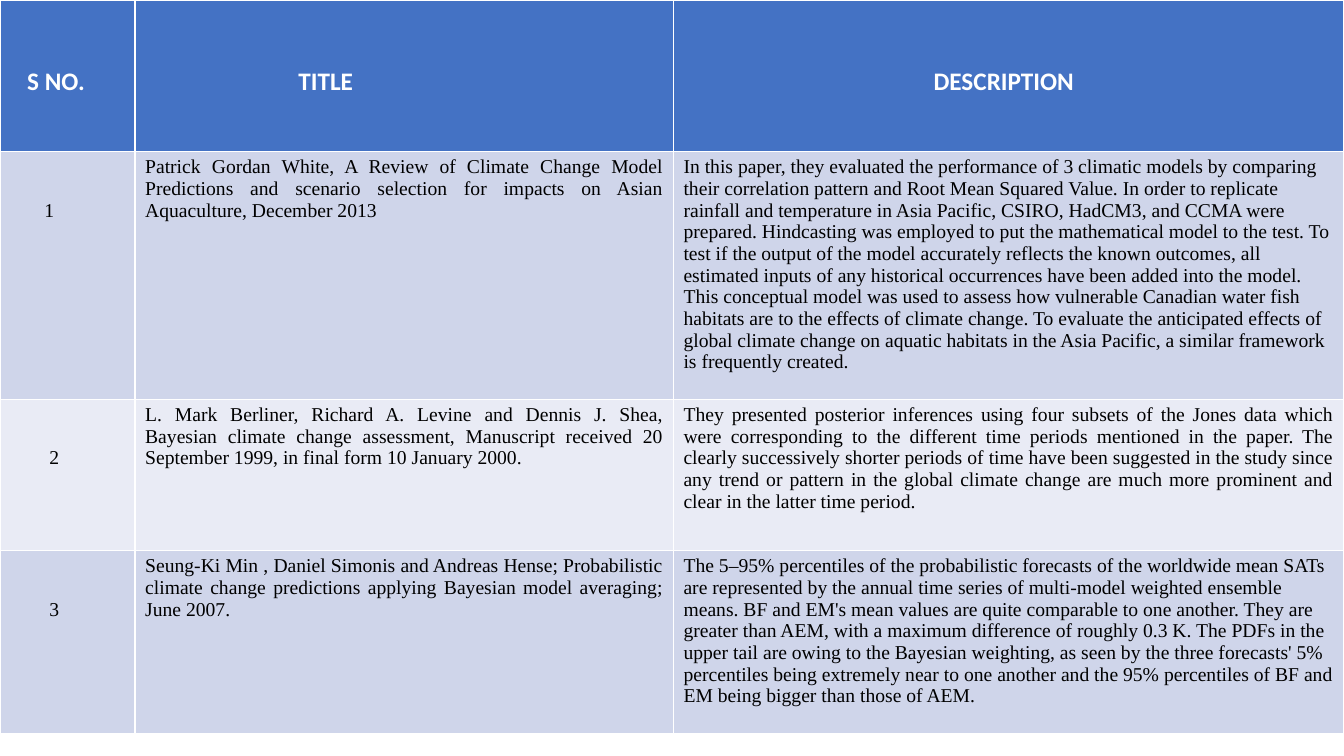
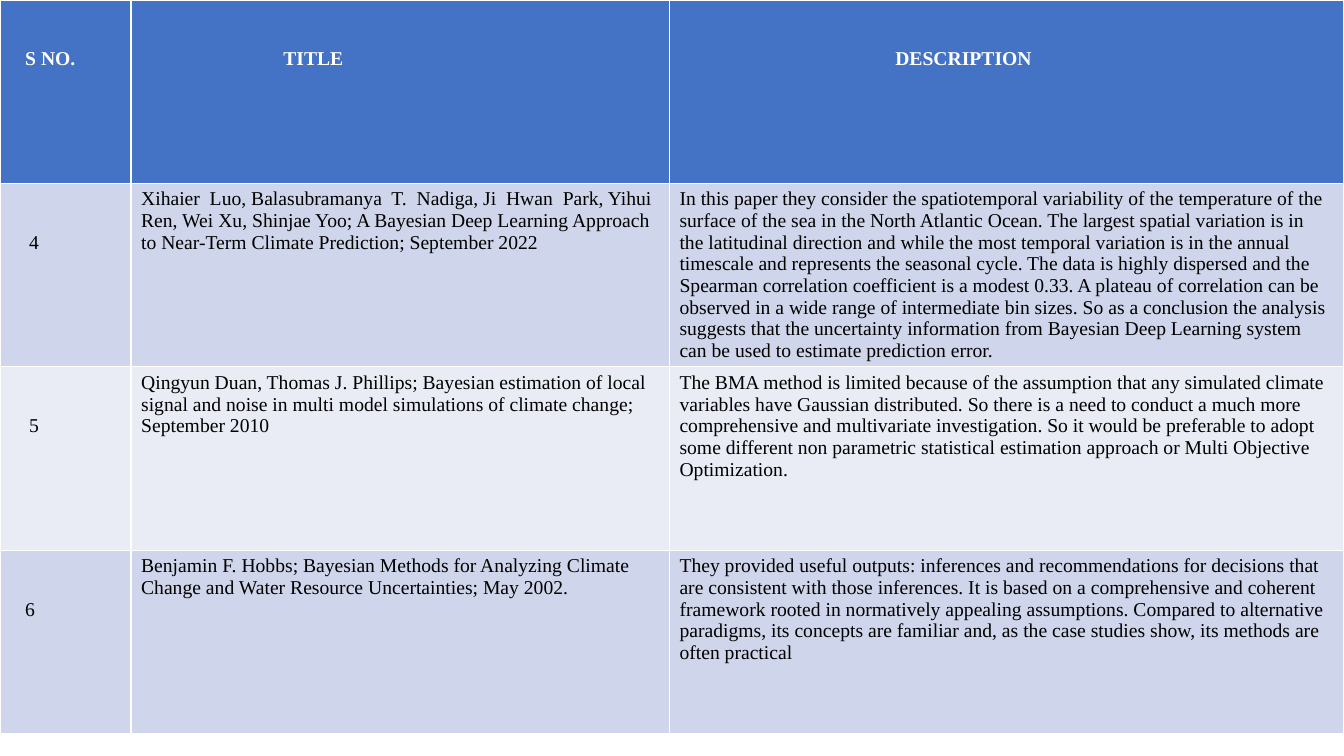
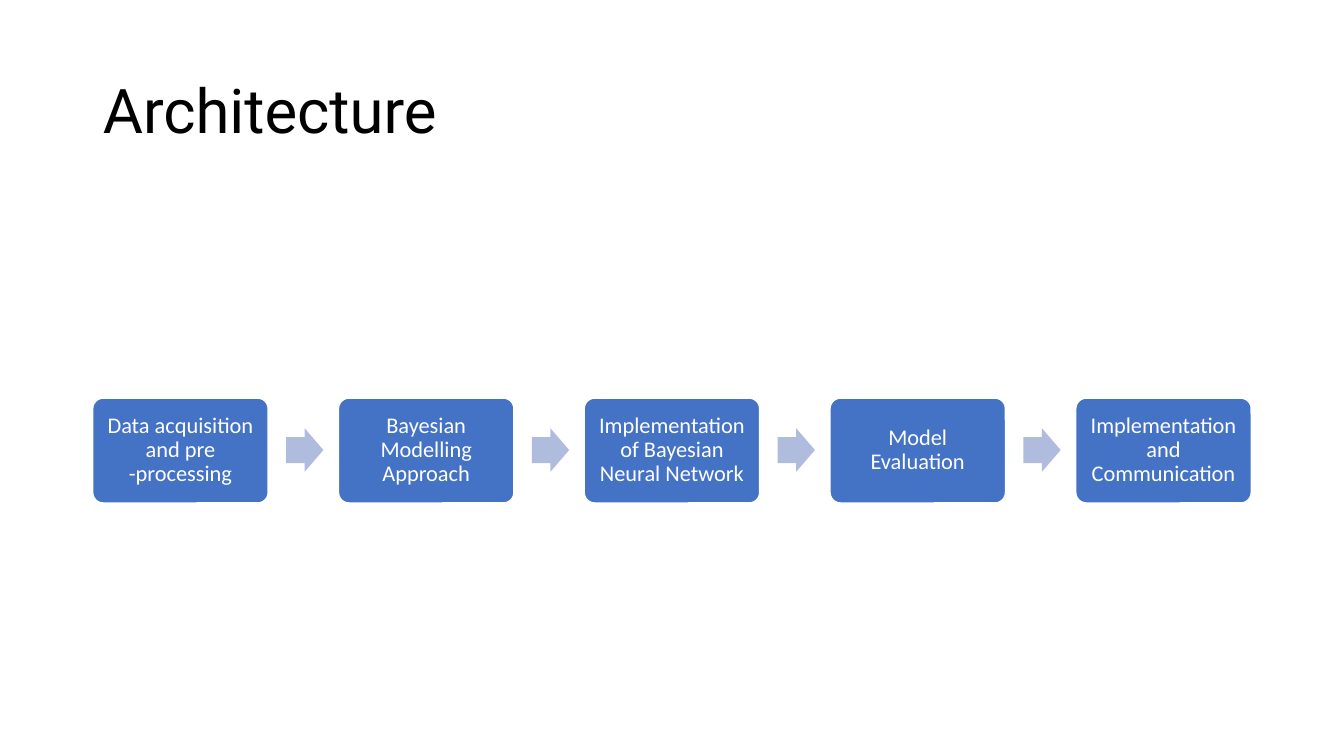
"""Build two literature survey tables and an architecture flow."""
import pptx
import pptx.dml.color
import pptx.enum.shapes
import pptx.enum.text
import pptx.util

Inches = pptx.util.Inches
Align = pptx.enum.text.PP_ALIGN
Preset = pptx.enum.shapes.MSO_SHAPE

BLUE, PALE_BLUE, WHITE, BLACK = "4472C4", "B0BCDE", "FFFFFF", "000000"
BAND_FILLS = ("CFD5EA", "E9EBF5")
HEADINGS = ("S NO.", "TITLE", "DESCRIPTION")
SERIF, SANS, TITLE_FONT = "Times New Roman", "Calibri", "Roboto"
CELL_LEFT, CELL_TOP, THIRD_LINE = 0.1, 0.05, 0.48

FIRST_PAPERS = [
    ("1", 0.44,
     ["Patrick Gordan White, A Review of Climate Change Model Predictions and scenario "
      "selection for impacts on Asian Aquaculture, December 2013"],
     ["In this paper, they evaluated the performance of 3 climatic models by comparing their "
      "correlation pattern and Root Mean Squared Value. In order to replicate rainfall and "
      "temperature in Asia Pacific, CSIRO, HadCM3, and CCMA were prepared. Hindcasting was "
      "employed to put the mathematical model to the test. To test if the output of the model "
      "accurately reflects the known outcomes, all estimated inputs of any historical "
      "occurrences have been added into the model. This conceptual model was used to assess "
      "how vulnerable Canadian water fish habitats are to the effects of climate change. To "
      "evaluate the anticipated effects of global climate change on aquatic habitats in the "
      "Asia Pacific, a similar framework is frequently created."],
     (Align.JUSTIFY, Align.LEFT)),
    ("2", 0.49,
     ["L. Mark Berliner, Richard A. Levine and Dennis J. Shea, Bayesian climate change "
      "assessment, Manuscript received 20 September 1999, in final form 10 January 2000."],
     ["They presented posterior inferences using four subsets of the Jones data which were "
      "corresponding to the different time periods mentioned in the paper. The clearly "
      "successively shorter periods of time have been suggested in the study since any trend "
      "or pattern in the global climate change are much more prominent and clear in the "
      "latter time period."],
     (Align.JUSTIFY, Align.JUSTIFY)),
    ("3", 0.49,
     ["Seung-Ki Min , Daniel Simonis and Andreas Hense; Probabilistic climate change "
      "predictions applying Bayesian model averaging; June 2007."],
     ["The 5–95% percentiles of the probabilistic forecasts of the worldwide mean SATs are "
      "represented by the annual time series of multi-model weighted ensemble means. BF and "
      "EM's mean values are quite comparable to one another. They are greater than AEM, with "
      "a maximum difference of roughly 0.3 K. The PDFs in the upper tail are owing to the "
      "Bayesian weighting, as seen by the three forecasts' 5% percentiles being extremely "
      "near to one another and the 95% percentiles of BF and EM being bigger than those of "
      "AEM."],
     (Align.JUSTIFY, Align.LEFT)),
]
SECOND_PAPERS = [
    ("4", 0.29,
     ["Xihaier  Luo, Balasubramanya  T.  Nadiga, Ji  Hwan  Park, Yihui Ren, Wei Xu, Shinjae "
      "Yoo; A Bayesian Deep Learning Approach to Near-Term Climate Prediction; September 2022"],
     ["In this paper they consider the spatiotemporal variability of the temperature of the "
      "surface of the sea in the North Atlantic Ocean. The largest spatial variation is in "
      "the latitudinal direction and while the most temporal variation is in the annual "
      "timescale and represents the seasonal cycle. The data is highly dispersed and the "
      "Spearman correlation coefficient is a modest 0.33. A plateau of correlation can be "
      "observed in a wide range of intermediate bin sizes. So as a conclusion the analysis "
      "suggests that the uncertainty information from Bayesian Deep Learning system can be "
      "used to estimate prediction error."],
     (Align.LEFT, Align.LEFT)),
    ("5", 0.29,
     ["Qingyun Duan, Thomas J. Phillips; Bayesian estimation of local signal and noise in "
      "multi model simulations of climate change;",
      "September 2010"],
     ["The BMA method is limited because of the assumption that any simulated climate "
      "variables have Gaussian distributed. So there is a need to conduct a much more "
      "comprehensive and multivariate investigation. So it would be preferable to adopt some "
      "different non parametric statistical estimation approach or Multi Objective "
      "Optimization."],
     (Align.LEFT, Align.LEFT)),
    ("6", 0.25,
     ["Benjamin F. Hobbs; Bayesian Methods for Analyzing Climate Change and Water Resource "
      "Uncertainties; May 2002."],
     ["They provided useful outputs: inferences and recommendations for decisions that are "
      "consistent with those inferences. It is based on a comprehensive and coherent "
      "framework rooted in normatively appealing assumptions. Compared to alternative "
      "paradigms, its concepts are familiar and, as the case studies show, its methods are "
      "often practical"],
     (Align.LEFT, Align.LEFT)),
]
STEPS = (
    "Data acquisition and pre -processing",
    "Bayesian Modelling Approach",
    "Implementation of Bayesian Neural Network",
    "Model Evaluation",
    "Implementation and Communication",
)


def color(hex_text):
    """Turn a hex string into a colour."""
    return pptx.dml.color.RGBColor.from_string(hex_text)


def paint(target, hex_text):
    """Give a shape or cell a solid fill."""
    target.fill.solid()
    target.fill.fore_color.rgb = color(hex_text)


def write(text_frame, texts, font, size, hex_text, align=Align.LEFT, bold=False, spacing=1.0):
    """Write one formatted run per paragraph."""
    for index, text in enumerate(texts):
        paragraph = text_frame.add_paragraph() if index else text_frame.paragraphs[0]
        paragraph.alignment = align
        paragraph.line_spacing = spacing
        run = paragraph.add_run()
        run.text = text
        run.font.name = font
        run.font.size = pptx.util.Pt(size)
        run.font.bold = bold
        run.font.color.rgb = color(hex_text)


def fill_cell(cell, texts, fill, left=CELL_LEFT, top=CELL_TOP, font=SERIF, size=14,
              hex_text=BLACK, **style):
    """Fill a table cell and place its text by margins."""
    paint(cell, fill)
    cell.margin_left, cell.margin_top = Inches(left), Inches(top)
    write(cell.text_frame, texts, font, size, hex_text, **style)


def add_survey(presentation, papers, widths, heights, heading_lefts, heading_style):
    """Add a slide that holds one literature table."""
    slide = presentation.slides.add_slide(presentation.slide_layouts[6])
    table = slide.shapes.add_table(
        len(heights), len(widths), 0, 0, Inches(sum(widths)), Inches(sum(heights))).table
    for column, width in zip(table.columns, widths):
        column.width = Inches(width)
    for row, height in zip(table.rows, heights):
        row.height = Inches(height)
    for cell, heading, left in zip(table.rows[0].cells, HEADINGS, heading_lefts):
        fill_cell(cell, [heading], BLUE, left, hex_text=WHITE, bold=True, **heading_style)
    for index, (number, left, title, description, aligns) in enumerate(papers):
        cells = table.rows[index + 1].cells
        fill = BAND_FILLS[index % 2]
        fill_cell(cells[0], [number], fill, left, THIRD_LINE)
        fill_cell(cells[1], title, fill, align=aligns[0])
        fill_cell(cells[2], description, fill, align=aligns[1])


def add_preset(slide, preset, left, top, width, height, fill, adjustments):
    """Add a flat preset shape without an outline."""
    shape = slide.shapes.add_shape(
        preset, Inches(left), Inches(top), Inches(width), Inches(height))
    shape.shadow.inherit = False
    paint(shape, fill)
    shape.line.fill.background()
    for index, value in enumerate(adjustments):
        shape.adjustments[index] = value
    return shape


def add_step(slide, text, left):
    """Add one labelled box of the flow."""
    box = add_preset(slide, Preset.ROUNDED_RECTANGLE, left, 3.95, 1.74, 1.04, BLUE, [0.1])
    box.line.color.rgb = color(WHITE)
    box.line.width = pptx.util.Pt(1)
    frame = box.text_frame
    frame.word_wrap = True
    frame.vertical_anchor = pptx.enum.text.MSO_ANCHOR.MIDDLE
    frame.margin_left = frame.margin_right = Inches(0.07)
    frame.margin_top = frame.margin_bottom = Inches(0.07)
    write(frame, [text], SANS, 16, WHITE, Align.CENTER, spacing=0.9)


def add_architecture(presentation):
    """Add the titled slide with the process flow."""
    slide = presentation.slides.add_slide(presentation.slide_layouts[5])
    title = slide.shapes.title
    title.left, title.top = Inches(0.92), Inches(0.4)
    title.width, title.height = Inches(11.5), Inches(1.45)
    title.text_frame.vertical_anchor = pptx.enum.text.MSO_ANCHOR.MIDDLE
    write(title.text_frame, ["Architecture"], TITLE_FONT, 44, BLACK, spacing=0.9)
    pitch = 9.75 / (len(STEPS) - 1)
    for index, text in enumerate(STEPS):
        left = 0.92 + index * pitch
        if index:
            add_preset(slide, Preset.RIGHT_ARROW, left - 0.52, 4.25, 0.37, 0.43,
                       PALE_BLUE, [0.6, 0.5])
        add_step(slide, text, left)


def main():
    """Build and save the presentation."""
    presentation = pptx.Presentation()
    presentation.slide_width, presentation.slide_height = Inches(13.33), Inches(7.5)
    add_survey(presentation, FIRST_PAPERS, (1.34, 5.34, 6.65), (1.5, 2.46, 1.5, 1.82),
               (0.27, 1.62, 2.58), {"top": 0.66, "font": SANS, "size": 18})
    add_survey(presentation, SECOND_PAPERS, (1.3, 5.34, 6.69), (1.82,) * 4,
               (0.25, 1.51, 2.24), {"top": THIRD_LINE})
    add_architecture(presentation)
    presentation.save("out.pptx")


if __name__ == "__main__":
    main()
